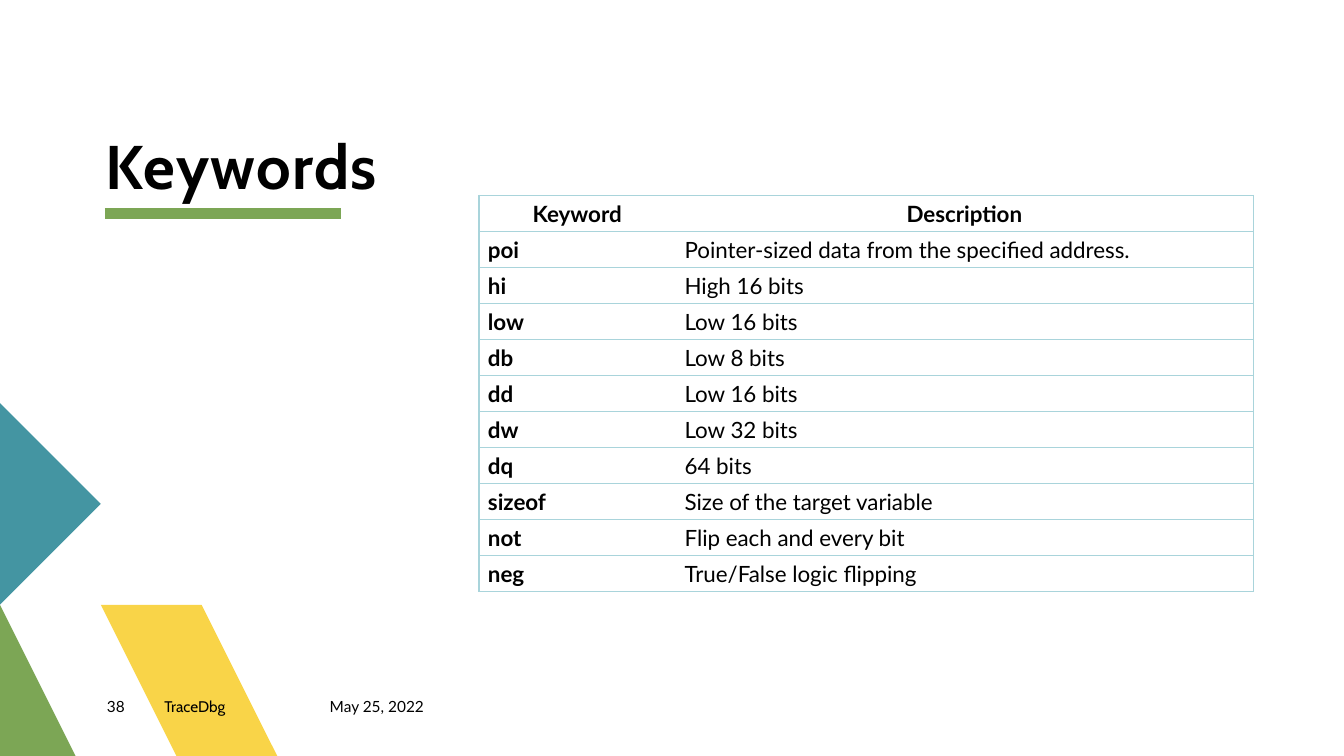
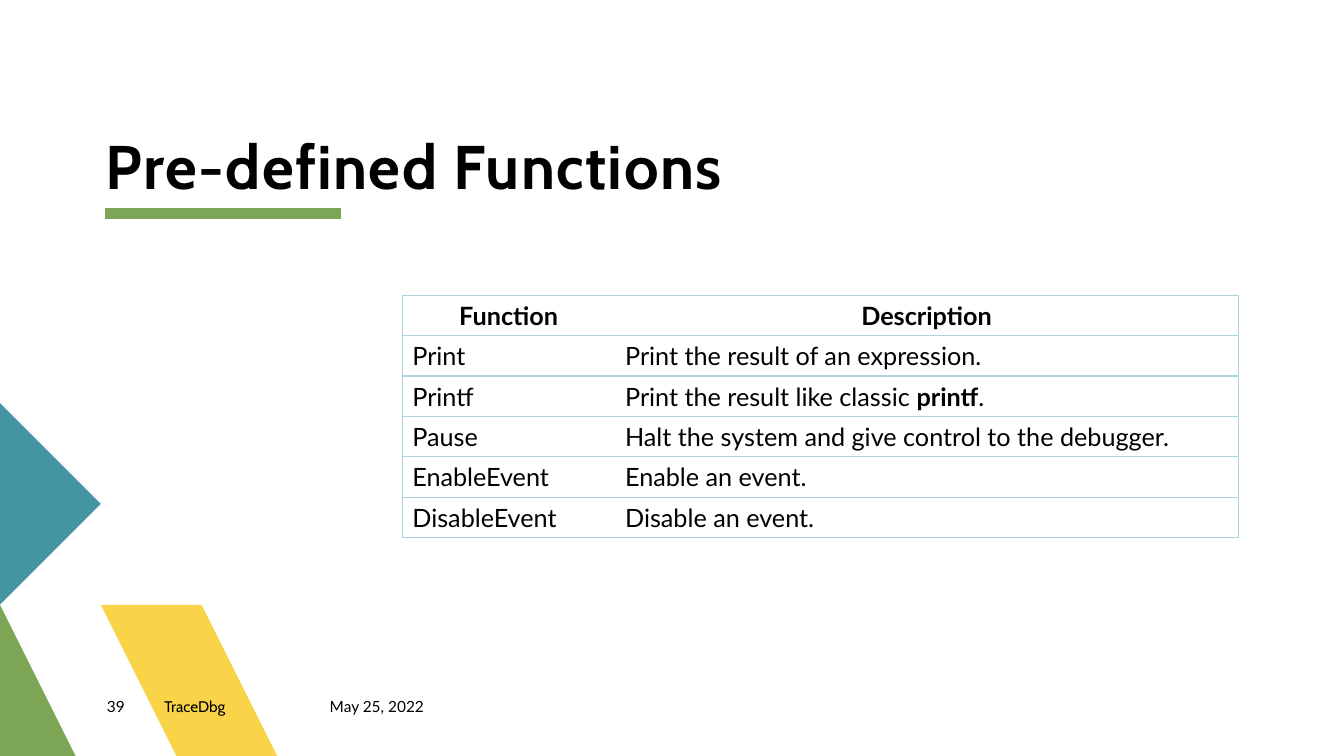
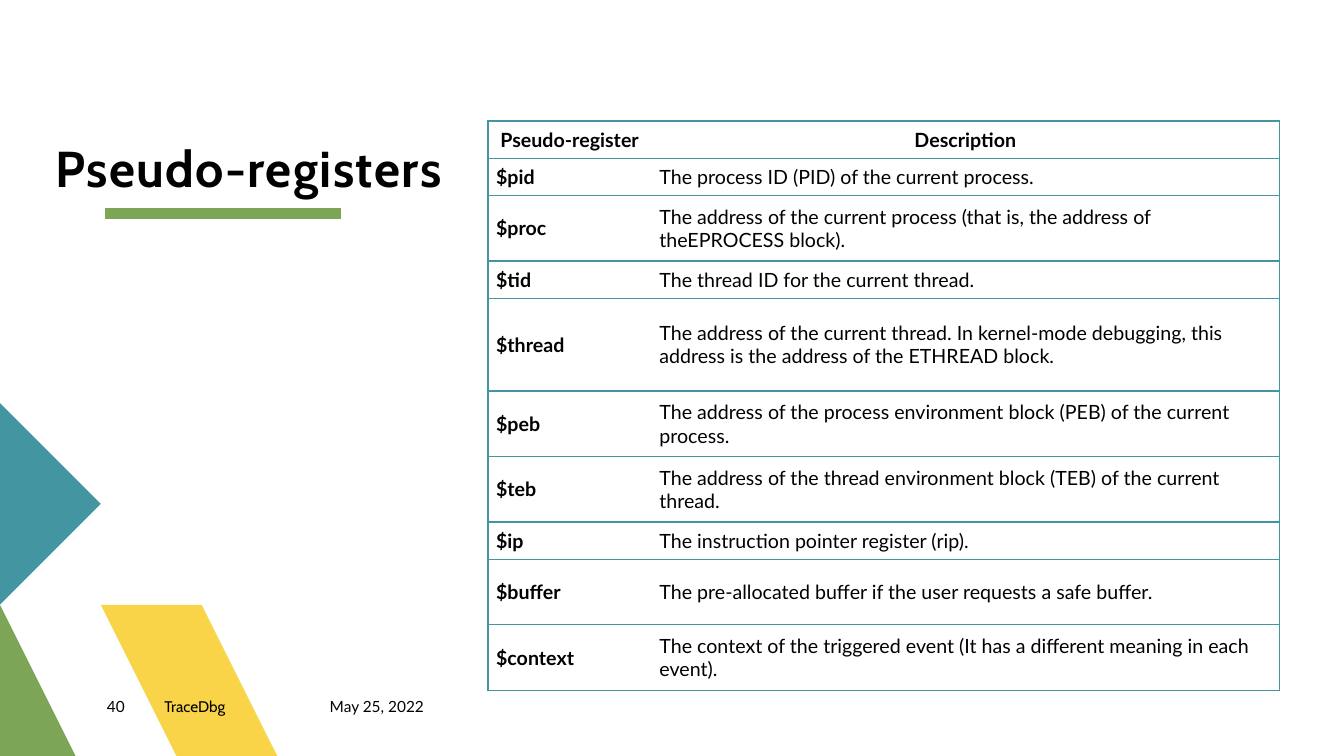
from lxml import etree
from pptx import Presentation
from pptx import util as u
from pptx.dml.color import RGBColor
from pptx.enum import shapes, text
from pptx.oxml import ns

# Slide grid, in inches
W, H = 13.33, 7.5
MARGIN = 1.06   # left margin, also the width of the corner triangles
STEP = 1.09     # width of the diagonal band along the bottom edge
FOOT_Y, FOOT_H = 6.92, 0.27

# Shared look
BLACK, WHITE = "000000", "FFFFFF"
GREEN, TEAL, YELLOW, PALE_TEAL = "7CA655", "4495A2", "F9D448", "A9D4DB"
HEAD_FONT, BODY_FONT = "Cabin", "Lato"
LEFT, CENTER = text.PP_ALIGN.LEFT, text.PP_ALIGN.CENTER

KEYWORDS = [
    ("Keyword", "Description"),
    ("poi", "Pointer-sized data from the specified address."),
    ("hi", "High 16 bits"),
    ("low", "Low 16 bits"),
    ("db", "Low 8 bits"),
    ("dd", "Low 16 bits"),
    ("dw", "Low 32 bits"),
    ("dq", "64 bits"),
    ("sizeof", "Size of the target variable"),
    ("not", "Flip each and every bit"),
    ("neg", "True/False logic flipping"),
]
# Asterisks enclose bold words
FUNCTIONS = [
    ("Function", "Description"),
    ("Print", "Print the result of an expression."),
    ("Printf", "Print the result like classic *printf*."),
    ("Pause", "Halt the system and give control to the debugger."),
    ("EnableEvent", "Enable an event."),
    ("DisableEvent", "Disable an event."),
]
REGISTERS = [
    ("Pseudo-register", "Description"),
    ("$pid", "The process ID (PID) of the current process."),
    ("$proc", "The address of the current process (that is, the address of "
              "theEPROCESS block)."),
    ("$tid", "The thread ID for the current thread."),
    ("$thread", "The address of the current thread. In kernel-mode debugging, "
                "this address is the address of the ETHREAD block."),
    ("$peb", "The address of the process environment block (PEB) of the "
             "current process."),
    ("$teb", "The address of the thread environment block (TEB) of the "
             "current thread."),
    ("$ip", "The instruction pointer register (rip)."),
    ("$buffer", "The pre-allocated buffer if the user requests a safe buffer."),
    ("$context", "The context of the triggered event (It has a different "
                 "meaning in each event)."),
]
ONE, TWO, THREE = 0.37, 0.65, 0.92   # row heights by number of lines
REGISTER_ROWS = [ONE, ONE, TWO, ONE, THREE, TWO, TWO, ONE, TWO, TWO]


def rgb(color):
    return RGBColor.from_string(color)


def style(p, size, font=BODY_FONT, bold=False):
    p.font.size, p.font.name, p.font.bold = u.Pt(size), font, bold
    p.font.color.rgb = rgb(BLACK)


def add_text(slide, words, x, y, w, h, size, font=BODY_FONT, bold=False):
    sp = slide.shapes.add_textbox(*map(u.Inches, (x, y, w, h)))
    tf = sp.text_frame
    tf.word_wrap = True
    tf.margin_left = tf.margin_top = tf.margin_right = tf.margin_bottom = 0
    p = tf.paragraphs[0]
    p.add_run().text = words
    style(p, size, font, bold)
    return tf


def add_polygon(slide, points, color):
    builder = slide.shapes.build_freeform(*points[0], scale=u.Inches(1))
    builder.add_line_segments(points[1:], close=True)
    sp = builder.convert_to_shape()
    sp.shadow.inherit = False
    sp.fill.solid()
    sp.fill.fore_color.rgb = rgb(color)
    sp.line.fill.background()


def add_rule(slide, x1, x2, y, color, width):
    line = slide.shapes.add_connector(
        shapes.MSO_CONNECTOR.STRAIGHT, *map(u.Inches, (x1, y, x2, y)))
    line.line.color.rgb = rgb(color)
    line.line.width = u.Pt(width)
    etree.SubElement(line._element.spPr, ns.qn("a:effectLst"))


def add_title(slide, words, x=1.05, y=0.58, size=44):
    tf = add_text(slide, words, x, y, 8.58, 1.43, size, HEAD_FONT, True)
    tf.vertical_anchor = text.MSO_ANCHOR.BOTTOM
    p = tf.paragraphs[0]
    p.line_spacing = 0.9
    p.runs[0]._r.get_or_add_rPr().set("spc", "100")


def add_base(prs, number):
    """Add a slide with the corner shapes, title rule and footer."""
    slide = prs.slides.add_slide(prs.slide_layouts[6])
    # Corner shapes
    add_polygon(slide, [(MARGIN + 2 * STEP, H), (MARGIN + STEP, H),
                        (MARGIN, H - STEP),
                        (MARGIN + STEP / 2, H - 1.5 * STEP)], YELLOW)
    add_polygon(slide, [(MARGIN, H), (0, H), (0, H - MARGIN)], GREEN)
    mid = 5.33
    add_polygon(slide, [(0, mid - MARGIN), (MARGIN, mid), (0, mid + MARGIN)],
                TEAL)
    add_rule(slide, 1.04, 3.38, 2.12, GREEN, 8)
    # Footer
    for words, x, w, font in [("May 25, 2022", 3.27, 1.44, BODY_FONT),
                              ("TraceDbg", 1.63, 1.64, HEAD_FONT),
                              (str(number), MARGIN, 0.57, BODY_FONT)]:
        add_text(slide, words, x, FOOT_Y, w, FOOT_H, 11, font)
    return slide


def set_border(cell, side, color=None):
    ln = etree.SubElement(cell._tc.get_or_add_tcPr(), ns.qn("a:ln" + side),
                          w=str(u.Pt(1)))
    if color is None:
        etree.SubElement(ln, ns.qn("a:noFill"))
    else:
        fill = etree.SubElement(ln, ns.qn("a:solidFill"))
        etree.SubElement(fill, ns.qn("a:srgbClr"), val=color)


def fill_cell(cell, words, size, bold, align, margins):
    cell.vertical_anchor = text.MSO_ANCHOR.MIDDLE
    cell.margin_left = cell.margin_right = u.Inches(margins[0])
    cell.margin_top = cell.margin_bottom = u.Inches(margins[1])
    cell.fill.solid()
    cell.fill.fore_color.rgb = rgb(WHITE)
    p = cell.text_frame.paragraphs[0]
    p.alignment = align
    style(p, size, bold=bold)
    for i, part in enumerate(words.split("*")):
        r = p.add_run()
        r.text = part
        if i % 2:
            r.font.bold = True


def add_grid(slide, rows, x, y, widths, heights, size, color,
             margins=(0.1, 0.05), bold_names=True):
    """Add a table ruled between rows, with no line between columns."""
    frame = slide.shapes.add_table(
        len(rows), len(widths),
        *map(u.Inches, (x, y, sum(widths), sum(heights))))
    table = frame.table
    table.first_row = table.horz_banding = False
    for column, width in zip(table.columns, widths):
        column.width = u.Inches(width)
    for i, (row, height) in enumerate(zip(rows, heights)):
        table.rows[i].height = u.Inches(height)
        for j, words in enumerate(row):
            cell = table.cell(i, j)
            last = j == len(row) - 1
            set_border(cell, "L", color if j == 0 else None)
            set_border(cell, "R", color if last else None)
            set_border(cell, "T", color)
            set_border(cell, "B", color)
            head = i == 0
            fill_cell(cell, words, size, head or (bold_names and j == 0),
                      CENTER if head else LEFT, margins)


def main():
    prs = Presentation()
    prs.slide_width, prs.slide_height = u.Inches(W), u.Inches(H)

    # Keywords
    slide = add_base(prs, 38)
    add_title(slide, "Keywords")
    count = len(KEYWORDS)
    add_grid(slide, KEYWORDS, 4.75, 1.94, [1.95, 5.73], [3.93 / count] * count,
             16, PALE_TEAL, margins=(0.09, 0.04))

    # Functions
    slide = add_base(prs, 39)
    add_title(slide, "Pre-defined Functions")
    add_grid(slide, FUNCTIONS, 3.99, 2.93, [2.11, 6.18],
             [0.4] * len(FUNCTIONS), 18, PALE_TEAL, bold_names=False)

    # Pseudo-registers
    slide = add_base(prs, 40)
    add_title(slide, "Pseudo-registers", 0.55, 0.54, 36)
    add_grid(slide, REGISTERS, 4.84, 1.2, [1.62, 6.23], REGISTER_ROWS,
             14, TEAL, margins=(0.08, 0.04))

    prs.save("out.pptx")


if __name__ == "__main__":
    main()
